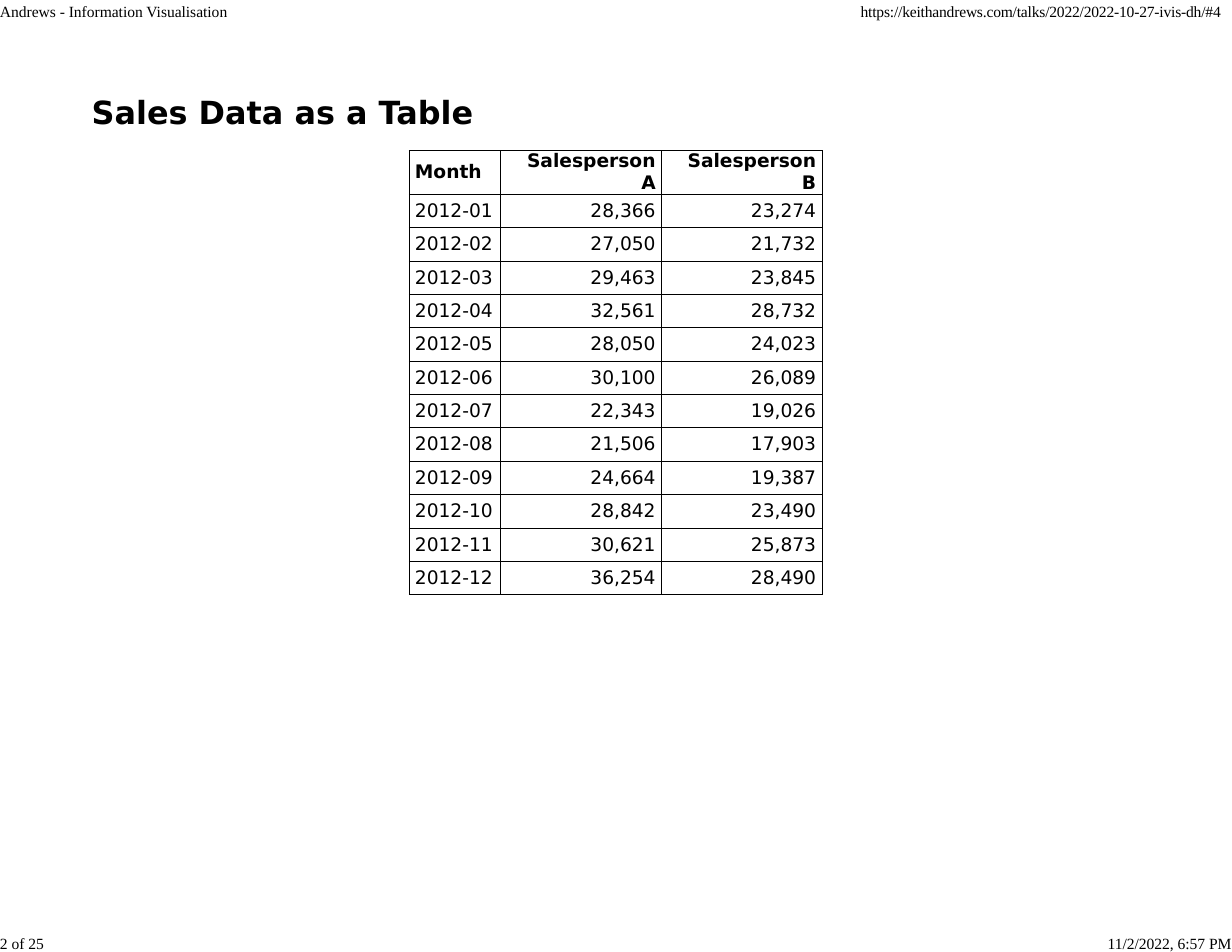
from dataclasses import dataclass

from lxml import etree
from pptx import Presentation
from pptx.dml.color import RGBColor
from pptx.enum.text import MSO_ANCHOR, MSO_AUTO_SIZE, PP_ALIGN
from pptx.oxml.ns import qn
from pptx.util import Cm, Pt

LEFT, RIGHT = PP_ALIGN.LEFT, PP_ALIGN.RIGHT
TOP, MIDDLE = MSO_ANCHOR.TOP, MSO_ANCHOR.MIDDLE
NO_AUTOFIT = MSO_AUTO_SIZE.NONE

BLACK, WHITE = "000000", "FFFFFF"
SANS, SERIF = "DejaVu Sans", "Times New Roman"
TITLE_ONLY_LAYOUT = 5


@dataclass
class PageMark:
    """Text at a page corner; lengths in centimetres, tracking in points."""
    text: str
    left: float
    top: float
    width: float
    tracking: float = 0


PAGE_MARKS = [
    PageMark("Andrews - Information Visualisation", 0, 0.04, 5.4),
    PageMark("https://keithandrews.com/talks/2022/2022-10-27-ivis-dh/#4",
             19.52, 0.04, 8.45, -0.1),
    PageMark("2 of 25", 0, 21.17, 1.3),
    PageMark("11/2/2022, 6:57 PM", 25.12, 21.17, 2.9),
]

HEADERS = ("Month", "Salesperson A", "Salesperson B")
SALES = [
    ("28,366", "23,274"), ("27,050", "21,732"), ("29,463", "23,845"),
    ("32,561", "28,732"), ("28,050", "24,023"), ("30,100", "26,089"),
    ("22,343", "19,026"), ("21,506", "17,903"), ("24,664", "19,387"),
    ("28,842", "23,490"), ("30,621", "25,873"), ("36,254", "28,490"),
]
COLUMN_WIDTHS = (2.07, 3.65, 3.64)
TABLE_LEFT, TABLE_TOP, TABLE_HEIGHT = 9.28, 3.41, 9.85
CELL_MARGIN = 0.13


def color(value: str) -> RGBColor:
    return RGBColor.from_string(value)


def add_run(paragraph, text: str, font_name: str, size: float,
            bold: bool = False, tracking: float = 0) -> None:
    run = paragraph.add_run()
    run.text = text
    run.font.name = font_name
    run.font.size = Pt(size)
    run.font.bold = bold
    run.font.color.rgb = color(BLACK)
    if tracking:
        run._r.get_or_add_rPr().set("spc", str(round(tracking * 100)))


def prepare_frame(frame) -> None:
    frame.margin_left = frame.margin_right = 0
    frame.margin_top = frame.margin_bottom = 0
    frame.word_wrap = True
    frame.auto_size = NO_AUTOFIT
    frame.vertical_anchor = TOP


def add_title(slide, text: str) -> None:
    title = slide.shapes.title
    title.left, title.top = Cm(2.08), Cm(2.09)
    title.width, title.height = Cm(9), Cm(0.94)
    prepare_frame(title.text_frame)
    paragraph = title.text_frame.paragraphs[0]
    paragraph.alignment = LEFT
    add_run(paragraph, text, SANS, 20.5, bold=True)


def add_page_mark(slide, mark: PageMark) -> None:
    box = slide.shapes.add_textbox(Cm(mark.left), Cm(mark.top),
                                   Cm(mark.width), Cm(0.45))
    prepare_frame(box.text_frame)
    add_run(box.text_frame.paragraphs[0], mark.text, SERIF, 10,
            tracking=mark.tracking)


def add_borders(cell) -> None:
    properties = cell._tc.get_or_add_tcPr()
    for position, side in enumerate(("a:lnL", "a:lnR", "a:lnT", "a:lnB")):
        line = etree.Element(qn(side), w=str(Pt(0.5)))
        fill = etree.SubElement(line, qn("a:solidFill"))
        etree.SubElement(fill, qn("a:srgbClr"), val=BLACK)
        properties.insert(position, line)


def fill_cell(cell, text: str, alignment: PP_ALIGN, bold: bool) -> None:
    cell.margin_left = cell.margin_right = Cm(CELL_MARGIN)
    cell.margin_top = cell.margin_bottom = 0
    cell.vertical_anchor = MIDDLE
    cell.fill.solid()
    cell.fill.fore_color.rgb = color(WHITE)
    add_borders(cell)
    paragraph = cell.text_frame.paragraphs[0]
    paragraph.alignment = alignment
    add_run(paragraph, text, SANS, 12, bold)


def add_sales_table(slide) -> None:
    rows = [HEADERS] + [(f"2012-{month:02}", *amounts)
                        for month, amounts in enumerate(SALES, start=1)]
    table = slide.shapes.add_table(
        len(rows), len(HEADERS), Cm(TABLE_LEFT), Cm(TABLE_TOP),
        Cm(sum(COLUMN_WIDTHS)), Cm(TABLE_HEIGHT)).table
    table.first_row = table.horz_banding = False
    for column, width in zip(table.columns, COLUMN_WIDTHS):
        column.width = Cm(width)
    for row_index, row in enumerate(rows):
        for column_index, text in enumerate(row):
            fill_cell(table.cell(row_index, column_index), text,
                      RIGHT if column_index else LEFT, bold=row_index == 0)


def main() -> None:
    presentation = Presentation()
    presentation.slide_width, presentation.slide_height = Cm(27.94), Cm(21.59)
    slide = presentation.slides.add_slide(
        presentation.slide_layouts[TITLE_ONLY_LAYOUT])

    # Title and data
    add_title(slide, "Sales Data as a Table")
    add_sales_table(slide)

    # Page header and footer
    for mark in PAGE_MARKS:
        add_page_mark(slide, mark)

    presentation.save("out.pptx")


if __name__ == "__main__":
    main()
